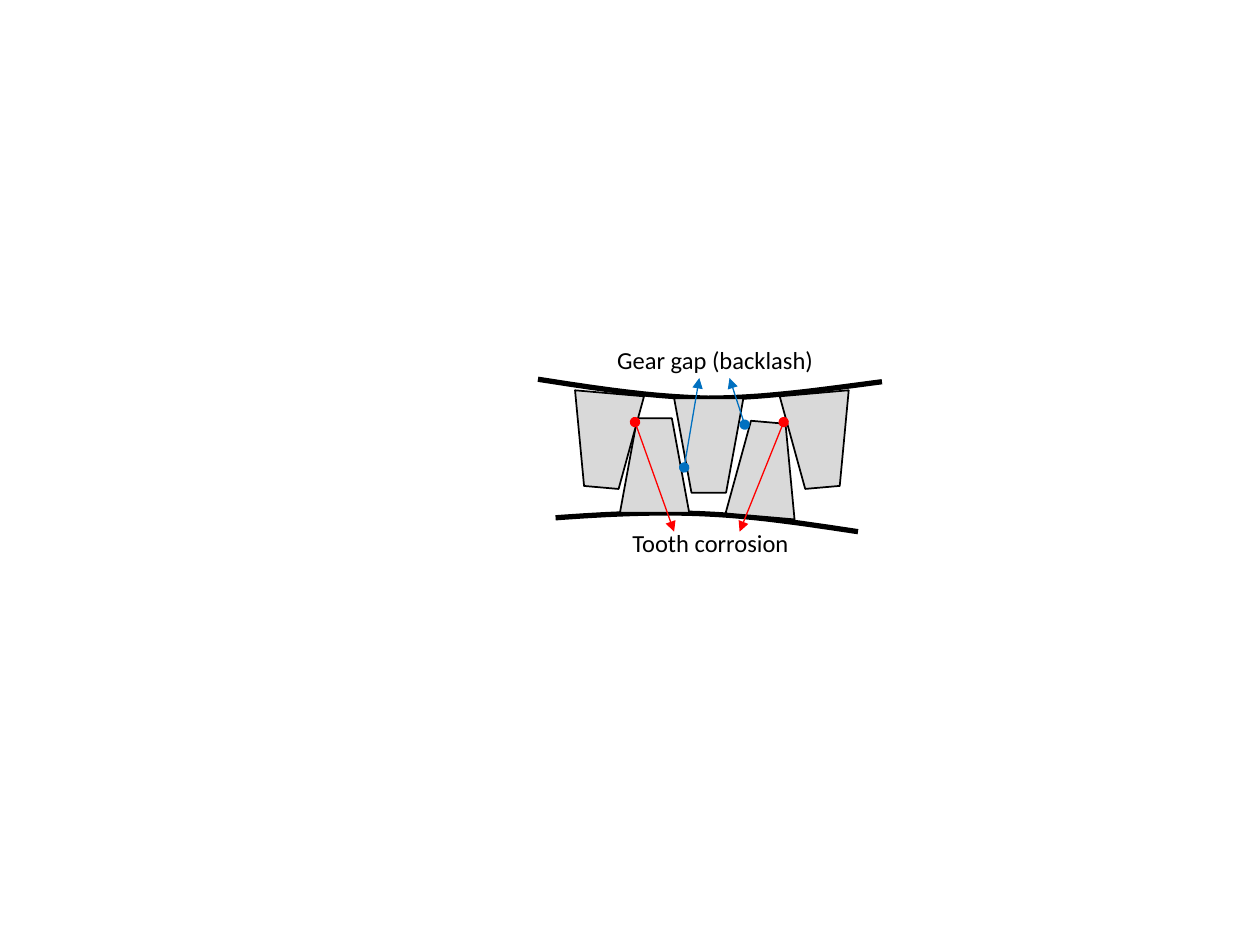
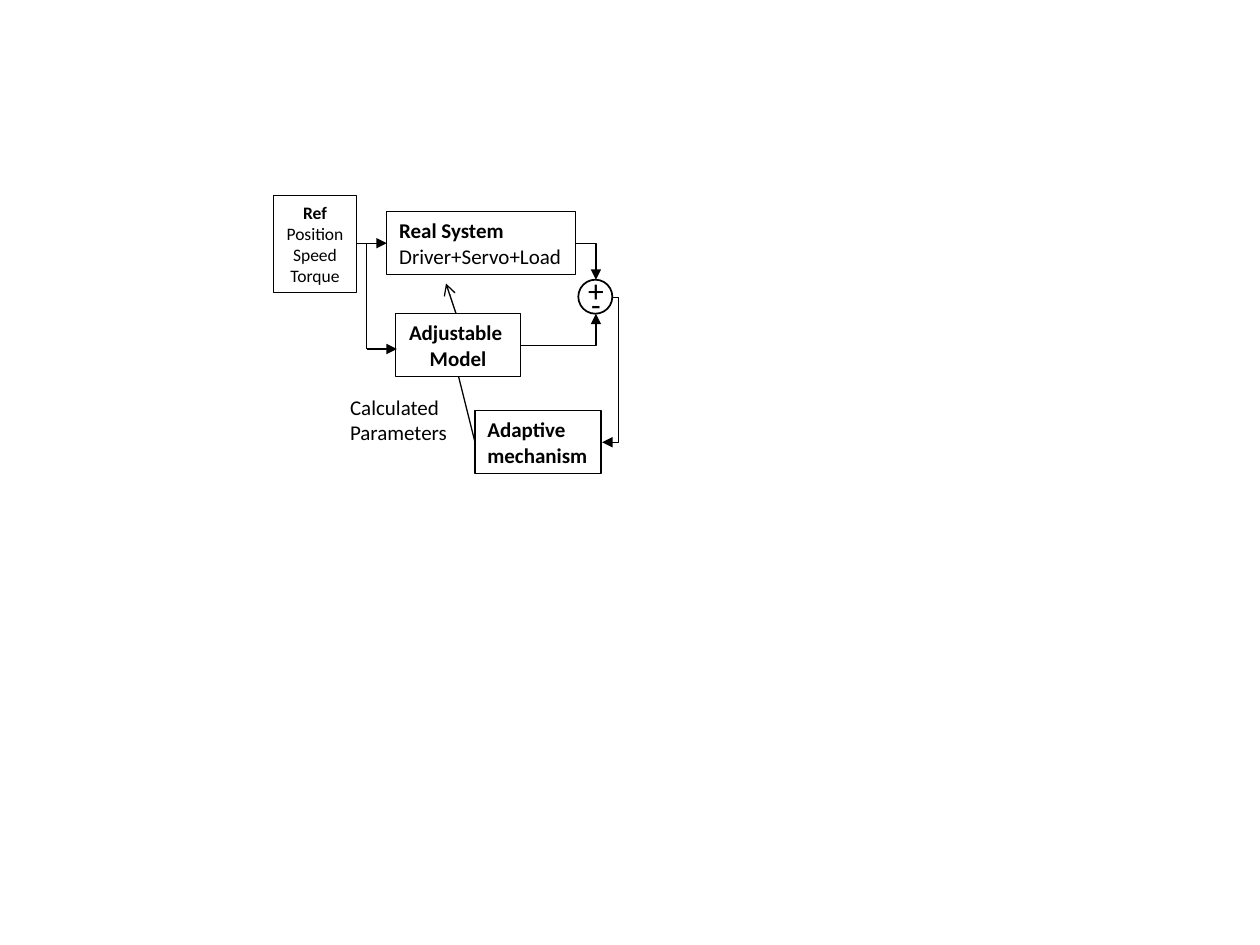
"""Builds two technical drawings: meshing gear teeth and an adaptive control loop."""
from lxml import etree
from pptx import Presentation
from pptx.dml.color import RGBColor
from pptx.enum.shapes import MSO_CONNECTOR, MSO_SHAPE
from pptx.enum.text import MSO_AUTO_SIZE, PP_ALIGN
from pptx.oxml.ns import qn
from pptx.util import Inches, Pt

BLACK = RGBColor(0x00, 0x00, 0x00)
TOOTH_GREY = RGBColor(0xD9, 0xD9, 0xD9)
GAP_BLUE = RGBColor(0x00, 0x70, 0xC0)
CORROSION_RED = RGBColor(0xFF, 0x00, 0x00)

RECTANGLE, TRAPEZOID, OVAL = MSO_SHAPE.RECTANGLE, MSO_SHAPE.TRAPEZOID, MSO_SHAPE.OVAL
STRAIGHT, ELBOW = MSO_CONNECTOR.STRAIGHT, MSO_CONNECTOR.ELBOW
LEFT, CENTER = PP_ALIGN.LEFT, PP_ALIGN.CENTER
GROW = MSO_AUTO_SIZE.SHAPE_TO_FIT_TEXT

COLUMNS, ROWS = 100, 75
BLANK_LAYOUT = 6
CURVE_STEPS = 16


def bezier(start, first, second, end, share):
    """Return the point at a share of the way along a cubic curve."""
    rest = 1 - share
    return tuple(
        rest**3 * a + 3 * rest**2 * share * b + 3 * rest * share**2 * c + share**3 * d
        for a, b, c, d in zip(start, first, second, end)
    )


class Drawing:
    """Holds the shared style and the current slide, measured in grid columns and rows."""

    font = "Calibri"
    thin = 0.75

    def __init__(self):
        """Start an empty deck and size its grid."""
        self.deck = Presentation()
        self.deck.slide_width, self.deck.slide_height = Inches(10), Inches(7.5)
        self.column = self.deck.slide_width / COLUMNS
        self.row = self.deck.slide_height / ROWS

    def new_slide(self):
        """Make a blank slide the current one."""
        layout = self.deck.slide_layouts[BLANK_LAYOUT]
        self.shapes = self.deck.slides.add_slide(layout).shapes

    def place(self, *cells):
        """Turn alternating columns and rows into slide lengths."""
        units = (self.column, self.row)
        return [round(cell * units[i % 2]) for i, cell in enumerate(cells)]

    def outline(self, line, color, width):
        """Give a line its colour and width in points."""
        line.color.rgb = color
        line.width = Pt(width)

    def shape(self, kind, area, fill=None, width=thin, tilt=0):
        """Add an outlined preset shape."""
        shape = self.shapes.add_shape(kind, *self.place(*area))
        shape.shadow.inherit = False
        shape.rotation = tilt
        if fill is None:
            shape.fill.background()
        else:
            shape.fill.solid()
            shape.fill.fore_color.rgb = fill
        self.outline(shape.line, BLACK, width)
        return shape

    def set_lines(self, holder, lines, size, bold_lines=0, align=LEFT, wrap=False):
        """Fill a shape with one paragraph per line, the first ones bold."""
        frame = holder.text_frame
        frame.text = "\n".join(lines)
        frame.word_wrap = wrap
        frame.auto_size = GROW
        for number, paragraph in enumerate(frame.paragraphs):
            paragraph.alignment = align
            for run in paragraph.runs:
                run.font.name = self.font
                run.font.size = Pt(size)
                run.font.bold = number < bold_lines
                run.font.color.rgb = BLACK

    def label(self, area, lines, size, wrap=False):
        """Add free-standing text."""
        self.set_lines(self.shapes.add_textbox(*self.place(*area)), lines, size, wrap=wrap)

    def box(self, area, lines, size, bold_lines, align=LEFT):
        """Add a block of the diagram with its text."""
        self.set_lines(self.shape(RECTANGLE, area), lines, size, bold_lines, align)

    def curve(self, pieces, width):
        """Draw an open line through joined cubic curves."""
        points = [
            self.place(*bezier(*piece, step / CURVE_STEPS))
            for piece in pieces
            for step in range(CURVE_STEPS + 1)
        ]
        builder = self.shapes.build_freeform(*points[0])
        builder.add_line_segments(points[1:], close=False)
        rim = builder.convert_to_shape()
        rim.shadow.inherit = False
        rim.fill.background()
        self.outline(rim.line, BLACK, width)

    def connect(self, start, end, color=BLACK, head=None, tail=None, kind=STRAIGHT):
        """Add a connector with optional ends and return its geometry."""
        link = self.shapes.add_connector(kind, *self.place(*start, *end))
        self.outline(link.line, color, self.thin)
        properties = link.element.spPr
        for tag, end_type in (("a:headEnd", head), ("a:tailEnd", tail)):
            if end_type:
                etree.SubElement(properties.find(qn("a:ln")), qn(tag), type=end_type)
        etree.SubElement(properties, qn("a:effectLst"))
        return properties.find(qn("a:prstGeom"))

    def corner(self, start, end):
        """Add an arrow that runs across, then turns once."""
        self.connect(start, end, tail="triangle", kind=ELBOW).set("prst", "bentConnector2")

    def detour(self, start, end, share):
        """Add an arrow whose middle leg stands at a share of its width."""
        geometry = self.connect(start, end, tail="triangle", kind=ELBOW)
        guides = geometry.find(qn("a:avLst"))
        if guides is None:
            guides = etree.SubElement(geometry, qn("a:avLst"))
        etree.SubElement(guides, qn("a:gd"), name="adj1", fmla=f"val {round(share * 100000)}")


def gear_teeth(drawing):
    """Draw the meshing teeth with their gaps and corrosion points."""
    drawing.new_slide()
    upper_rim = [
        ((42.7, 30.1), (47.2, 30.8), (51.6, 31.5), (56.2, 31.6)),
        ((56.2, 31.6), (60.7, 31.6), (65.4, 30.9), (70, 30.3)),
    ]
    lower_rim = [
        ((44.1, 41.1), (48.2, 40.8), (52.2, 40.6), (56.2, 40.8)),
        ((56.2, 40.8), (60.2, 41), (64.1, 41.6), (68.1, 42.2)),
    ]
    for rim in (upper_rim, lower_rim):
        drawing.curve(rim, 3)

    teeth = [
        (49.2, 33.2, 0), (57.9, 33.5, 5),
        (53.5, 31.6, 180), (62.2, 31.2, 175), (45.3, 31.2, 185),
    ]
    for left, top, tilt in teeth:
        drawing.shape(TRAPEZOID, (left, top, 5.5, 7.5), TOOTH_GREY, 1, tilt)

    pointers = [
        (GAP_BLUE, (54.3, 37.1), (55.5, 30)),
        (GAP_BLUE, (59.1, 33.7), (57.9, 30)),
        (CORROSION_RED, (50.4, 33.5), (53.5, 42.2)),
        (CORROSION_RED, (62.2, 33.5), (58.7, 42.2)),
    ]
    for color, spot, caption in pointers:
        drawing.connect(spot, caption, color, head="oval", tail="triangle")
    drawing.label((48, 26.9, 18.2, 3.4), ["Gear gap (backlash)"], 14)
    drawing.label((49.2, 41.4, 14.5, 3.4), ["Tooth corrosion"], 14)


def control_loop(drawing):
    """Draw the model reference adaptive loop."""
    drawing.new_slide()
    drawing.box((21.7, 15.5, 6.6, 7.7), ["Ref", "Position", "Speed", "Torque"], 10, 1, CENTER)
    drawing.box((30.7, 16.8, 15, 5), ["Real System", "Driver+Servo+Load"], 12, 1)
    drawing.box((31.4, 24.9, 9.9, 5), ["Adjustable ", "Model"], 12, 2, CENTER)
    drawing.box((37.7, 32.6, 10, 5), ["Adaptive", "mechanism"], 12, 2)

    drawing.connect((28.3, 19.3), (30.7, 19.3), tail="triangle")
    drawing.connect((29.1, 27.7), (29.1, 19.4))
    drawing.connect((29.1, 27.7), (31.5, 27.7), tail="triangle")
    drawing.corner((45.7, 19.3), (47.3, 22.2))
    drawing.corner((41.3, 27.4), (47.3, 24.9))
    drawing.detour((48.6, 23.6), (47.8, 35.1), -0.65)
    drawing.connect((36.2, 24.9), (35.4, 22.5), tail="arrow")
    drawing.connect((37.7, 35.1), (36.4, 29.9))

    drawing.label((26.8, 30.8, 9.9, 5), ["Calculated", "Parameters"], 12)
    drawing.label((45.7, 21, 2.2, 2.7), ["+"], 18, wrap=True)
    drawing.label((46, 22.1, 1.9, 2.7), ["-"], 18, wrap=True)
    drawing.shape(OVAL, (45.9, 22.2, 2.7, 2.7), width=1)


def main():
    """Build both slides and save the deck."""
    drawing = Drawing()
    gear_teeth(drawing)
    control_loop(drawing)
    drawing.deck.save("out.pptx")


if __name__ == "__main__":
    main()
